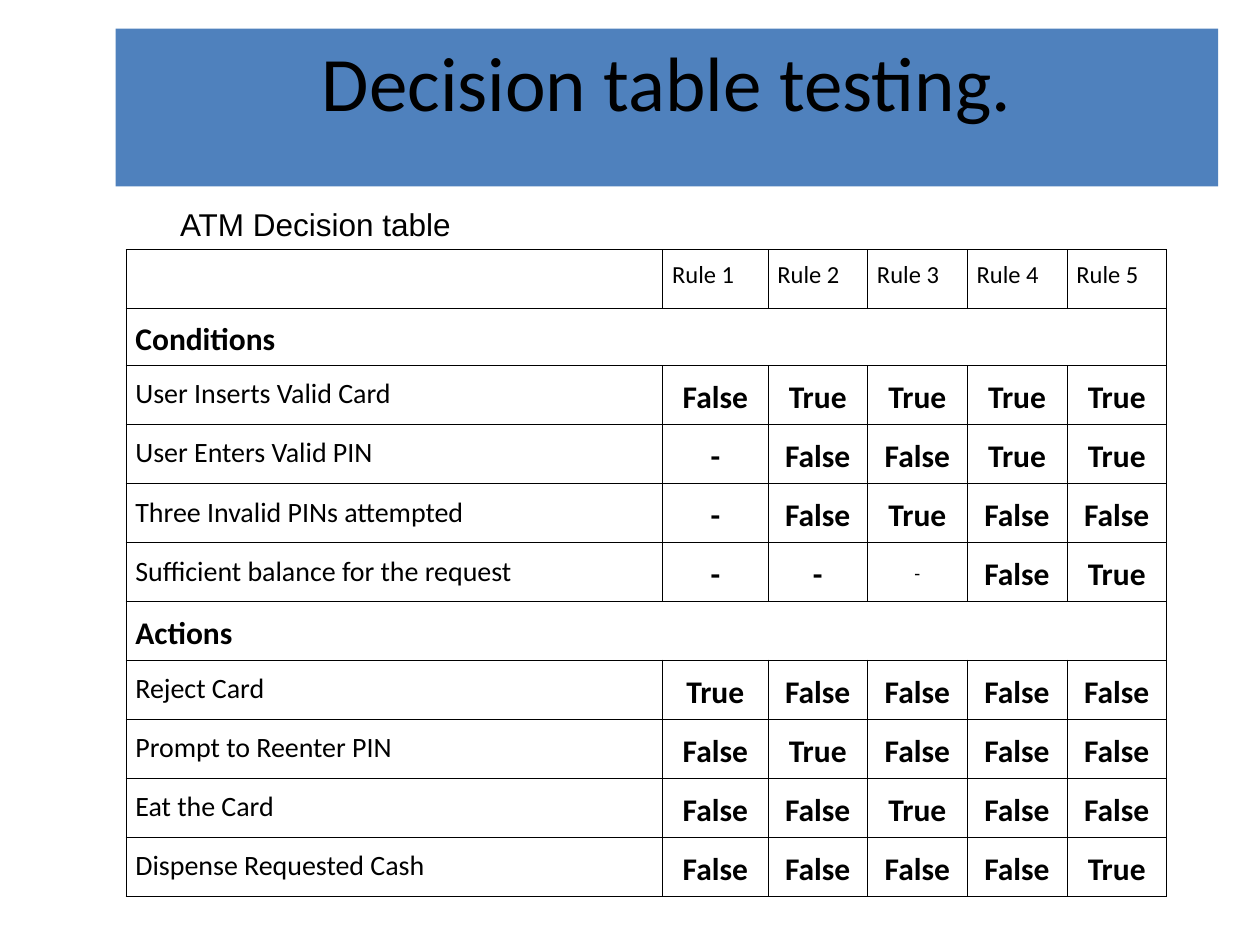
import dataclasses
import pptx
import pptx.dml.color
import pptx.enum.shapes
import pptx.enum.text
import pptx.oxml
import pptx.oxml.ns
import pptx.util

Cm = pptx.util.Cm
Align = pptx.enum.text.PP_ALIGN
Anchor = pptx.enum.text.MSO_ANCHOR


@dataclasses.dataclass(frozen=True)
class Theme:
    """Hold the colours, fonts and type sizes of the slide."""
    ink: str = "000000"
    band: str = "4F81BD"
    body_font: str = "Calibri"
    caption_font: str = "Arial"
    title_size: float = 44
    strong_size: float = 18
    label_size: float = 16
    rule_size: float = 14
    small_size: float = 11
    border_width: float = 0.45


THEME = Theme()
CELL_MARGINS = {"margin_left": Cm(0.19), "margin_right": Cm(0.19),
                "margin_top": Cm(0.13), "margin_bottom": Cm(0.13)}
COLUMN_WIDTHS = [10.82, 2.12] + [2.01] * 4
ROW_HEIGHT = 1.19
SECTION_HEIGHTS = {"Conditions": 0.94, "Actions": 1.17}
ROWS = [
    ["", "Rule 1", "Rule 2", "Rule 3", "Rule 4", "Rule 5"],
    ["Conditions"],
    ["User Inserts Valid Card", "False", "True", "True", "True", "True"],
    ["User Enters Valid PIN", "-", "False", "False", "True", "True"],
    ["Three Invalid PINs attempted", "-", "False", "True", "False", "False"],
    ["Sufficient balance for the request", "-", "-", "-", "False", "True"],
    ["Actions"],
    ["Reject Card", "True", "False", "False", "False", "False"],
    ["Prompt to Reenter PIN", "False", "True", "False", "False", "False"],
    ["Eat the Card", "False", "False", "True", "False", "False"],
    ["Dispense Requested Cash", "False", "False", "False", "False", "True"],
]
RULE = {"size": THEME.rule_size}
SECTION = {"size": THEME.strong_size, "bold": True}
LABEL = {"size": THEME.label_size}
VALUE = {"size": THEME.strong_size, "bold": True, "align": Align.CENTER}
SMALL_VALUE = {"size": THEME.small_size, "align": Align.CENTER}
SMALL_CELL = (5, 3)


def write_text(frame, text, size, font=THEME.body_font, bold=False,
               align=Align.LEFT, spacing=1.0):
    """Write one formatted paragraph into a text frame."""
    para = frame.paragraphs[0]
    for name, value in {"alignment": align, "line_spacing": spacing}.items():
        setattr(para, name, value)
    if not text:
        return
    span = para.add_run()
    span.text = text
    span.font.color.rgb = pptx.dml.color.RGBColor.from_string(THEME.ink)
    formats = {"name": font, "size": pptx.util.Pt(size), "bold": bold}
    for name, value in formats.items():
        setattr(span.font, name, value)


def draw_borders(cell):
    """Give a cell a thin solid line on all four sides."""
    properties = cell._tc.get_or_add_tcPr()
    width = int(pptx.util.Pt(THEME.border_width))
    for index, side in enumerate(("lnL", "lnR", "lnT", "lnB")):
        line = pptx.oxml.parse_xml(
            f'<a:{side} {pptx.oxml.ns.nsdecls("a")} w="{width}"><a:solidFill>'
            f'<a:srgbClr val="{THEME.ink}"/></a:solidFill></a:{side}>')
        properties.insert(index, line)


def cell_style(row, column):
    """Choose the text style that belongs to a table position."""
    if row == 0:
        return RULE
    if len(ROWS[row]) == 1:
        return SECTION
    if column == 0:
        return LABEL
    return SMALL_VALUE if (row, column) == SMALL_CELL else VALUE


def add_decision_table(page, box):
    """Place the decision table in its box."""
    table = page.shapes.add_table(len(ROWS), len(COLUMN_WIDTHS), *box).table
    for flag in ("first_row", "horz_banding"):
        setattr(table, flag, False)
    for column, width in zip(table.columns, COLUMN_WIDTHS):
        column.width = Cm(width)
    for row, texts in enumerate(ROWS):
        table.rows[row].height = Cm(SECTION_HEIGHTS.get(texts[0], ROW_HEIGHT))
        for column in range(len(COLUMN_WIDTHS)):
            cell = table.cell(row, column)
            cell.fill.background()
            draw_borders(cell)
            style = cell_style(row, column)
            centred = "align" in style
            anchor = Anchor.MIDDLE if centred else Anchor.TOP
            formats = {**CELL_MARGINS, "vertical_anchor": anchor}
            for name, value in formats.items():
                setattr(cell, name, value)
            if column < len(texts):
                write_text(cell.text_frame, texts[column], spacing=1.15, **style)
        if len(texts) == 1:
            table.cell(row, 0).merge(table.cell(row, len(COLUMN_WIDTHS) - 1))


def add_caption(page, box):
    """Place the caption above the table."""
    frame = page.shapes.add_textbox(*box).text_frame
    frame.word_wrap = True
    frame.auto_size = pptx.enum.text.MSO_AUTO_SIZE.SHAPE_TO_FIT_TEXT
    write_text(frame, "ATM Decision table", THEME.strong_size, THEME.caption_font)


def add_title_band(page, box):
    """Place the coloured band that carries the title."""
    band = page.shapes.add_shape(pptx.enum.shapes.MSO_SHAPE.RECTANGLE, *box)
    band.shadow.inherit = False
    band.fill.solid()
    band.fill.fore_color.rgb = pptx.dml.color.RGBColor.from_string(THEME.band)
    band.line.fill.background()
    formats = {"word_wrap": True, "vertical_anchor": Anchor.TOP}
    for name, value in formats.items():
        setattr(band.text_frame, name, value)
    write_text(band.text_frame, "Decision table testing.", THEME.title_size,
               align=Align.CENTER)


def build_deck():
    """Build the one-slide deck and save it."""
    deck = pptx.Presentation()
    deck.slide_width, deck.slide_height = Cm(25.4), Cm(19.05)
    page = deck.slides.add_slide(deck.slide_layouts[6])
    add_decision_table(page, (Cm(2.54), Cm(5.03), Cm(20.96), Cm(12.78)))
    add_caption(page, (Cm(3.38), Cm(4.01), Cm(11.86), Cm(1.02)))
    add_title_band(page, (Cm(2.33), Cm(0.58), Cm(22.23), Cm(3.18)))
    deck.save("out.pptx")


build_deck()
